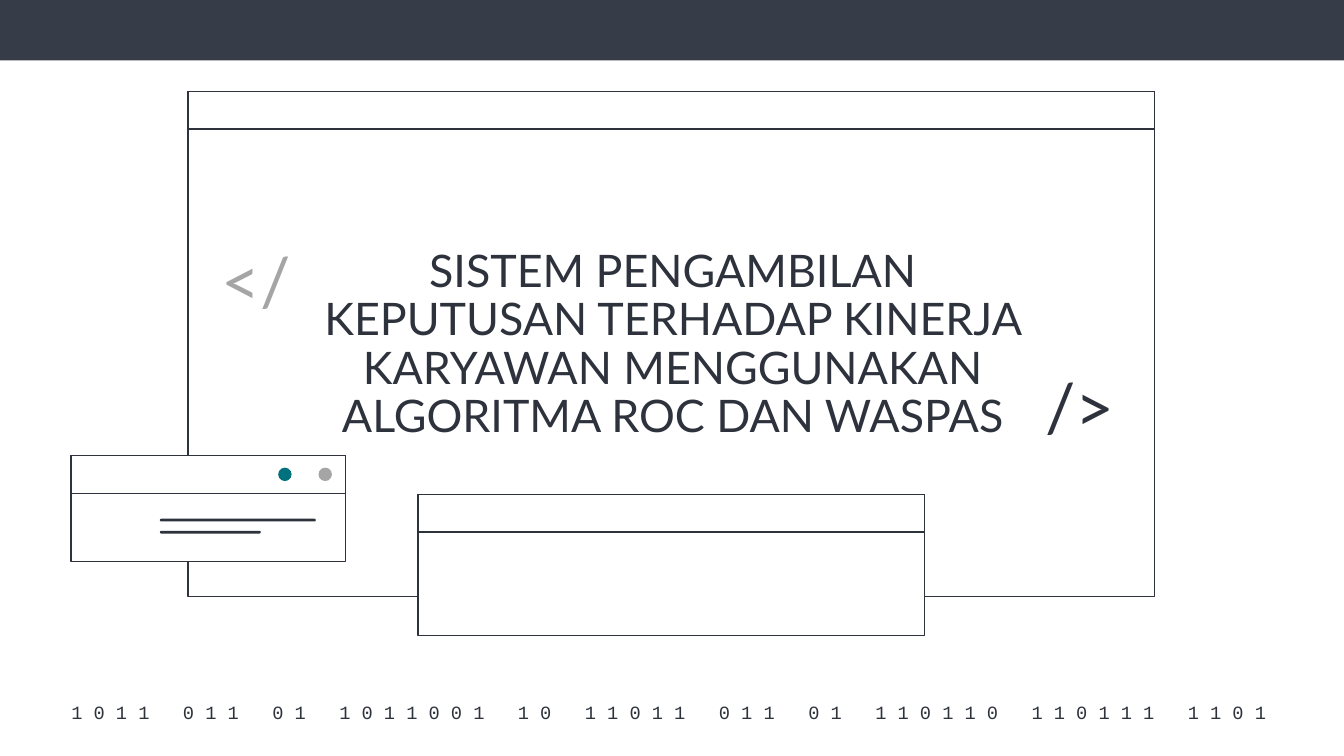
from pptx import Presentation
from pptx.dml.color import RGBColor
from pptx.enum.shapes import MSO_SHAPE
from pptx.enum.text import MSO_ANCHOR, MSO_AUTO_SIZE, PP_ALIGN
from pptx.util import Inches, Pt

INK, GREY, TEAL, WHITE = "2D323C", "A5A5A5", "00717D", "FFFFFF"


def add_box(parent, kind, left, top, width, height, fill, outline=None):
    box = parent.shapes.add_shape(
        kind, Inches(left), Inches(top), Inches(width), Inches(height))
    box.shadow.inherit = False
    box.fill.solid()
    box.fill.fore_color.rgb = RGBColor.from_string(fill)
    if outline:
        box.line.color.rgb = RGBColor.from_string(outline)
        box.line.width = Pt(0.75)
    else:
        box.line.fill.background()
    return box


def write(holder, words, font, size, color, align, anchor, spacing=None):
    frame = holder.text_frame
    frame.word_wrap = True
    frame.auto_size = MSO_AUTO_SIZE.NONE
    frame.vertical_anchor = anchor
    frame.margin_left = frame.margin_right = Inches(0.1)
    frame.margin_top = frame.margin_bottom = Inches(0.1)
    line = frame.paragraphs[0]
    line.alignment = align
    line.line_spacing = spacing
    for word in words:
        run = line.add_run()
        run.text = word
        run.font.name = font
        run.font.size = Pt(size)
        run.font.color.rgb = RGBColor.from_string(color)
    return line


# Widescreen 16:9 slide
prs = Presentation()
prs.slide_width, prs.slide_height = Inches(10), Inches(10 * 9 / 16)
slide = prs.slides.add_slide(prs.slide_layouts[0])
subtitle = slide.placeholders[1]
subtitle.element.getparent().remove(subtitle.element)

# Top band
add_box(slide, MSO_SHAPE.RECTANGLE, 0, 0, 10, 0.45, "363C48")

# Binary footer: single spaces, widened between the groups
groups = "1011 011 01 1011001 10 11011 011 01 110110 110111 1101".split()
pieces = [piece for group in groups for piece in (" ".join(group), " ")][:-1]
footer = slide.shapes.add_textbox(
    Inches(0.34), Inches(5.2), Inches(9.27), Inches(0.2))
binary = write(footer, pieces, "Courier New", 10, INK,
               PP_ALIGN.CENTER, MSO_ANCHOR.MIDDLE)
for gap in binary.runs[1::2]:
    gap._r.get_or_add_rPr().set("spc", "1200")

# Browser windows, each with a title bar
for left, top, width, height in [(1.4, 0.68, 7.19, 3.76),
                                 (3.11, 3.68, 3.77, 1.05),
                                 (0.53, 3.39, 2.04, 0.79)]:
    window = slide.shapes.add_group_shape()
    for part_height in (height, 0.28):
        add_box(window, MSO_SHAPE.RECTANGLE, left, top, width, part_height,
                WHITE, INK)

# Text lines and buttons in the small window
for top, width in [(3.86, 1.16), (3.95, 0.75)]:
    text_line = add_box(window, MSO_SHAPE.ROUNDED_RECTANGLE,
                        1.19, top, width, 0.02, INK)
    text_line.adjustments[0] = 0.5
for left, color in [(2.07, TEAL), (2.37, GREY)]:
    add_box(window, MSO_SHAPE.OVAL, left, 3.48, 0.1, 0.1, color)

# Code tags around the title
for tag, left, top, color in [("</", 1.55, 1.79, GREY),
                              ("/>", 7.68, 2.73, INK)]:
    tag_box = slide.shapes.add_textbox(
        Inches(left), Inches(top), Inches(0.77), Inches(0.66))
    write(tag_box, [tag], "Lato", 36, color,
          PP_ALIGN.LEFT, MSO_ANCHOR.MIDDLE, 0.9)

# Title, brought in front of the windows
title = slide.shapes.title
title.left, title.top = Inches(2.26), Inches(1.41)
title.width, title.height = Inches(5.49), Inches(1.98)
write(title, ["SISTEM PENGAMBILAN KEPUTUSAN TERHADAP KINERJA KARYAWAN "
              "MENGGUNAKAN ALGORITMA ROC DAN WASPAS"],
      "Lato", 24, INK, PP_ALIGN.CENTER, MSO_ANCHOR.BOTTOM, 0.9)
title.element.getparent().append(title.element)

prs.save("out.pptx")
